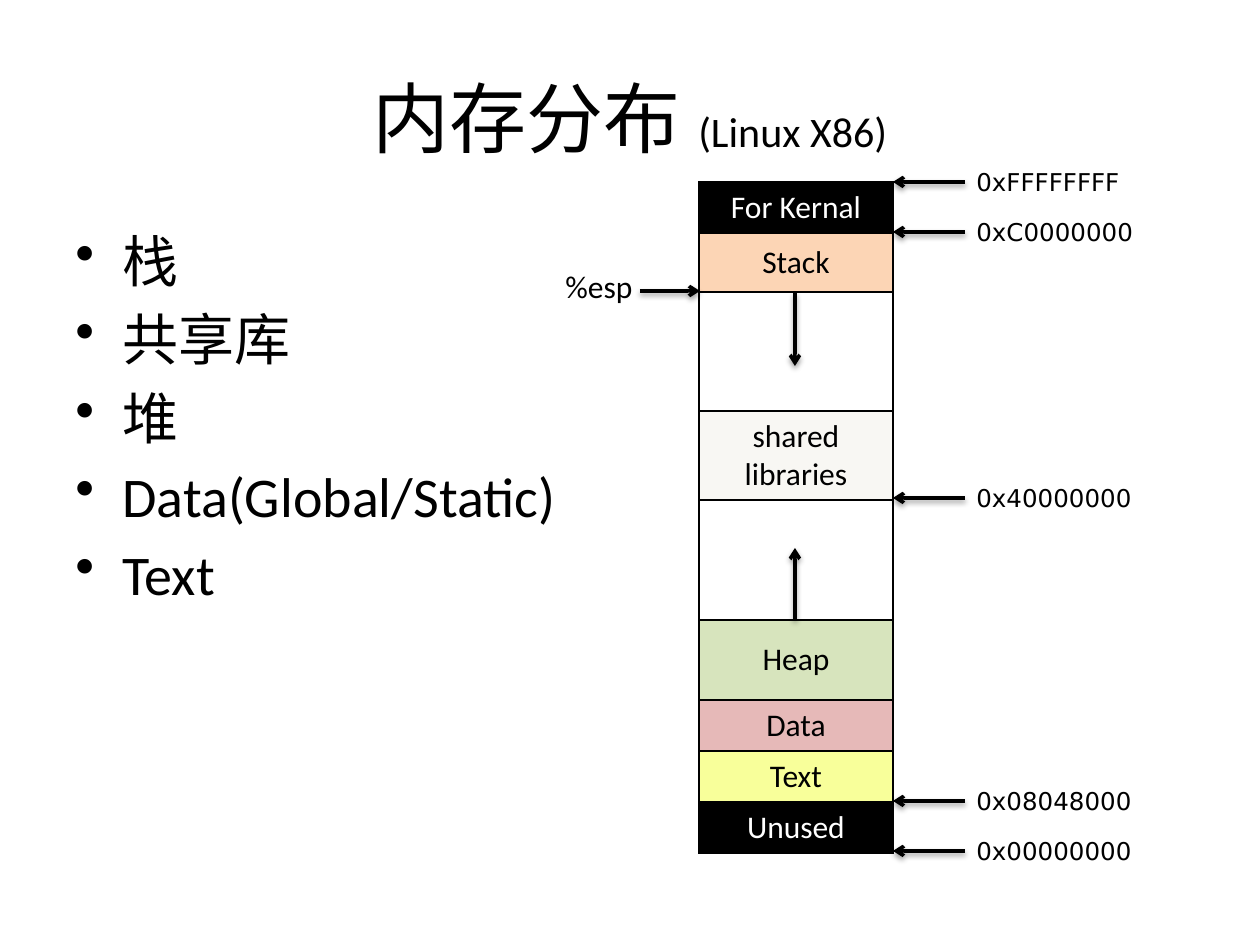
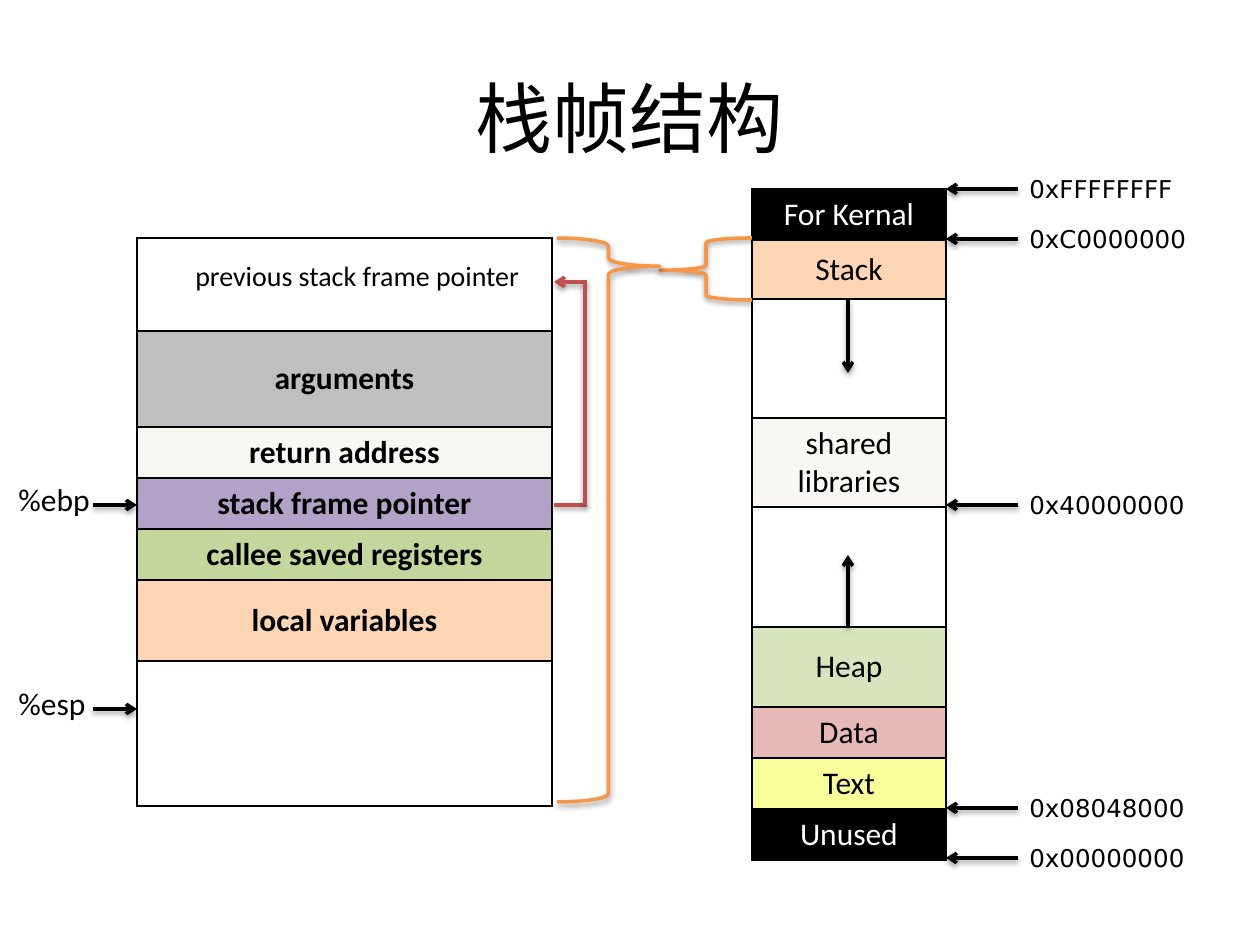
from lxml.etree import SubElement
from pptx import Presentation
from pptx.dml.color import RGBColor
from pptx.enum.shapes import MSO_CONNECTOR, MSO_SHAPE
from pptx.enum.text import MSO_ANCHOR, MSO_AUTO_SIZE, PP_ALIGN
from pptx.oxml import parse_xml
from pptx.oxml.ns import nsdecls, qn
from pptx.util import Pt

PX = 7257  # EMU in one px, 126 px to the inch

BLACK = RGBColor(0x00, 0x00, 0x00)
WHITE = RGBColor(0xFF, 0xFF, 0xFF)
PEACH = RGBColor(0xFC, 0xD5, 0xB5)
IVORY = RGBColor(0xF8, 0xF7, 0xF3)
LIGHT_GREEN = RGBColor(0xD7, 0xE4, 0xBD)
PINK = RGBColor(0xE6, 0xB9, 0xB8)
YELLOW = RGBColor(0xF8, 0xFF, 0x9A)
GRAY = RGBColor(0xBF, 0xBF, 0xBF)
PURPLE = RGBColor(0xB3, 0xA2, 0xC7)
GREEN = RGBColor(0xC3, 0xD6, 0x9B)
ORANGE = RGBColor(0xF7, 0x96, 0x46)
RED = RGBColor(0xC0, 0x50, 0x4D)

BODY_FONT = "Calibri"
ADDRESS_FONT = "DejaVu Sans"


def add_run(paragraph, text, size, color=BLACK, name=BODY_FONT, bold=False):
    run = paragraph.add_run()
    run.text = text
    run.font.size = Pt(size)
    run.font.name = name
    run.font.bold = bold
    run.font.color.rgb = color


def style_line(shape, color, arrow=False):
    """Two-point line with a soft shadow below, and an arrowhead if asked."""
    shape.line.color.rgb = color
    shape.line.width = Pt(2)
    if arrow:
        SubElement(shape.line._get_or_add_ln(), qn("a:tailEnd"), type="arrow")
    shape.element.spPr.append(parse_xml(
        f'<a:effectLst {nsdecls("a")}>'
        '<a:outerShdw blurRad="40000" dist="20000" dir="5400000" rotWithShape="0">'
        '<a:srgbClr val="000000"><a:alpha val="38000"/></a:srgbClr>'
        '</a:outerShdw></a:effectLst>'))


presentation = Presentation()
presentation.slide_width = 1260 * PX
presentation.slide_height = 945 * PX
blank = presentation.slide_layouts[6]
layout_slide = presentation.slides.add_slide(blank)
frame_slide = presentation.slides.add_slide(blank)

# Titles
titles = [
    (layout_slide, [("内存分布 ", 44), ("(Linux X86)", 24)]),
    (frame_slide, [("栈帧结构", 44)]),
]
for slide, parts in titles:
    box = slide.shapes.add_textbox(63 * PX, 38 * PX, 1134 * PX, 157 * PX)
    box.text_frame.word_wrap = True
    box.text_frame.vertical_anchor = MSO_ANCHOR.MIDDLE
    paragraph = box.text_frame.paragraphs[0]
    paragraph.alignment = PP_ALIGN.CENTER
    for text, size in parts:
        add_run(paragraph, text, size)

# Bullet list of memory regions
box = layout_slide.shapes.add_textbox(63 * PX, 220 * PX, 1134 * PX, 624 * PX)
box.text_frame.word_wrap = True
for index, region in enumerate(["栈", "共享库", "堆", "Data(Global/Static)", "Text"]):
    paragraph = box.text_frame.paragraphs[0] if index == 0 else box.text_frame.add_paragraph()
    if index:
        paragraph.space_before = Pt(6.4)
    properties = paragraph._p.get_or_add_pPr()
    properties.set("marL", str(47 * PX))
    properties.set("indent", str(-47 * PX))
    SubElement(properties, qn("a:buChar"), char="•")
    add_run(paragraph, region, 32)

# Tables: each row is text, height, fill
memory_rows = [
    ("For Kernal", 51, BLACK),
    ("Stack", 59, PEACH),
    ("", 119, None),
    ("shared libraries", 89, IVORY),
    ("", 120, None),
    ("Heap", 80, LIGHT_GREEN),
    ("Data", 51, PINK),
    ("Text", 51, YELLOW),
    ("Unused", 51, BLACK),
]
frame_rows = [
    ("", 93, None),
    ("arguments", 96, GRAY),
    ("return address", 51, IVORY),
    ("stack frame pointer", 51, PURPLE),
    ("callee saved registers", 51, GREEN),
    ("local variables", 81, PEACH),
    ("", 145, None),
]
memory_maps = [(layout_slide, 699, 182), (frame_slide, 752, 189)]
tables = [(slide, left, top, 194, memory_rows, False) for slide, left, top in memory_maps]
tables.append((frame_slide, 137, 238, 415, frame_rows, True))

for slide, left, top, width, rows, bold in tables:
    height = sum(row_height for _, row_height, _ in rows)
    table = slide.shapes.add_table(
        len(rows), 1, left * PX, top * PX, width * PX, height * PX).table
    table.first_row = False
    table.horz_banding = False
    for index, (text, row_height, fill) in enumerate(rows):
        table.rows[index].height = row_height * PX
        cell = table.cell(index, 0)
        cell.vertical_anchor = MSO_ANCHOR.MIDDLE
        for side in ("L", "R", "T", "B"):
            cell._tc.get_or_add_tcPr().append(parse_xml(
                f'<a:ln{side} {nsdecls("a")} w="12700"><a:solidFill>'
                f'<a:srgbClr val="{BLACK}"/></a:solidFill></a:ln{side}>'))
        if fill is None:
            cell.fill.background()
        else:
            cell.fill.solid()
            cell.fill.fore_color.rgb = fill
        if text:
            paragraph = cell.text_frame.paragraphs[0]
            paragraph.alignment = PP_ALIGN.CENTER
            add_run(paragraph, text, 18, WHITE if fill == BLACK else BLACK, bold=bold)

# Labels: slide, text, left, top, width, height, size, font
labels = [
    (layout_slide, "%esp", 553, 261, 110, 50, 18, BODY_FONT),
    (frame_slide, "%ebp", 6, 474, 110, 50, 18, BODY_FONT),
    (frame_slide, "%esp", 6, 678, 110, 50, 18, BODY_FONT),
    (frame_slide, "previous stack frame pointer", 183, 252, 478, 47, 16, BODY_FONT),
]
# Lines: slide, start x, start y, end x, end y, colour, arrowhead
lines = [
    (layout_slide, 640, 291, 700, 291, BLACK, True),
    (frame_slide, 93, 505, 137, 505, BLACK, True),
    (frame_slide, 93, 709, 137, 709, BLACK, True),
    # Saved frame pointer back to the previous one
    (frame_slide, 554, 505, 587, 505, RED, False),
    (frame_slide, 587, 282, 554, 282, RED, True),
    (frame_slide, 585, 505, 585, 282, RED, False),
]

# Addresses and growth arrows, placed from the corner of each memory map
addresses = [
    ("0xFFFFFFFF", 0),
    ("0xC0000000", 50),
    ("0x40000000", 316),
    ("0x08048000", 619),
    ("0x00000000", 669),
]
for slide, left, top in memory_maps:
    for start, end in [(111, 184), (437, 366)]:
        lines.append((slide, left + 96, top + start, left + 96, top + end, BLACK, True))
    for address, offset in addresses:
        y = top + offset
        lines.append((slide, left + 266, y, left + 194, y, BLACK, True))
        labels.append((slide, address, left + 265, y - 21, 200, 43, 14, ADDRESS_FONT))

for slide, start_x, start_y, end_x, end_y, color, arrow in lines:
    connector = slide.shapes.add_connector(
        MSO_CONNECTOR.STRAIGHT, start_x * PX, start_y * PX, end_x * PX, end_y * PX)
    style_line(connector, color, arrow)

# Braces from the stack to its enlarged frame
braces = [
    (MSO_SHAPE.LEFT_BRACE, 660, 92, 62, 0.52),
    (MSO_SHAPE.RIGHT_BRACE, 557, 103, 564, 0.05),
]
for kind, left, width, height, point in braces:
    brace = frame_slide.shapes.add_shape(
        kind, left * PX, 238 * PX, width * PX, height * PX)
    brace.adjustments[0] = 0.08
    brace.adjustments[1] = point
    brace.fill.background()
    style_line(brace, ORANGE)

for slide, text, left, top, width, height, size, name in labels:
    box = slide.shapes.add_textbox(left * PX, top * PX, width * PX, height * PX)
    box.text_frame.word_wrap = True
    box.text_frame.auto_size = MSO_AUTO_SIZE.SHAPE_TO_FIT_TEXT
    add_run(box.text_frame.paragraphs[0], text, size, name=name)

presentation.save("out.pptx")
